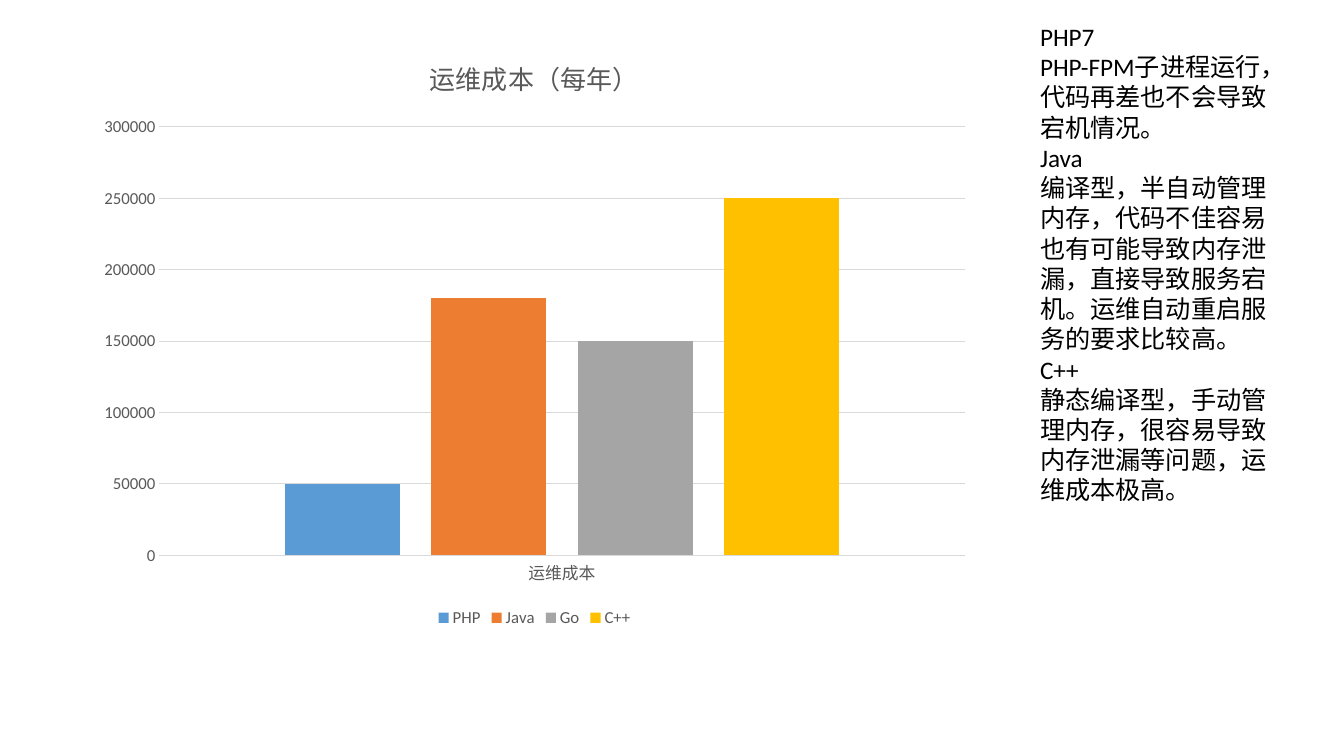
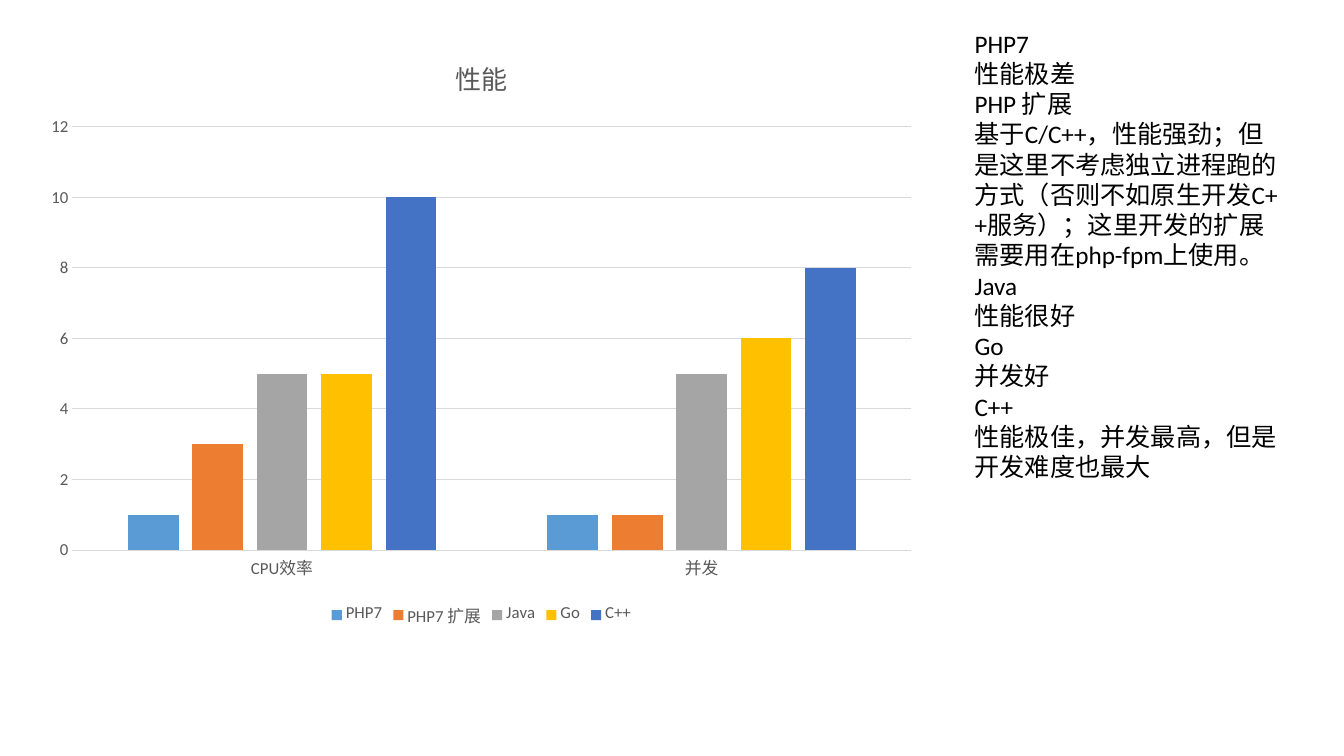
import pptx
import pptx.util
import pptx.dml.color
import pptx.chart.data
import pptx.enum.chart
import pptx.enum.text

Cm = pptx.util.Cm
Pt = pptx.util.Pt
RGBColor = pptx.dml.color.RGBColor

FONT = "Calibri"
BLACK = RGBColor(0x00, 0x00, 0x00)
GREY = RGBColor(0x59, 0x59, 0x59)
RULE = RGBColor(0xD9, 0xD9, 0xD9)
BARS = [
    RGBColor(0x5B, 0x9B, 0xD5),
    RGBColor(0xED, 0x7D, 0x31),
    RGBColor(0xA5, 0xA5, 0xA5),
    RGBColor(0xFF, 0xC0, 0x00),
    RGBColor(0x44, 0x72, 0xC4),
]

COST = {"PHP": [50000], "Java": [180000], "Go": [150000], "C++": [250000]}
COST_NOTES = [
    "PHP7",
    "PHP-FPM子进程运行，代码再差也不会导致宕机情况。",
    "Java",
    "编译型，半自动管理内存，代码不佳容易也有可能导致内存泄漏，"
    "直接导致服务宕机。运维自动重启服务的要求比较高。",
    "C++",
    "静态编译型，手动管理内存，很容易导致内存泄漏等问题，运维成本极高。",
]

SPEED = {
    "PHP7": [1, 1],
    "PHP7 扩展": [3, 1],
    "Java": [5, 5],
    "Go": [5, 6],
    "C++": [10, 8],
}
SPEED_NOTES = [
    "PHP7",
    "性能极差",
    "PHP 扩展",
    "基于C/C++，性能强劲；但是这里不考虑独立进程跑的方式"
    "（否则不如原生开发C++服务）；这里开发的扩展需要用在php-fpm上使用。",
    "Java",
    "性能很好",
    "Go",
    "并发好",
    "C++",
    "性能极佳，并发最高，但是开发难度也最大",
]


def style(font, size, color):
    font.name = FONT
    font.size = Pt(size)
    font.color.rgb = color


def rule(line):
    line.color.rgb = RULE
    line.width = Pt(0.75)


def add_notes(slide, left, top, width, height, lines):
    box = slide.shapes.add_textbox(Cm(left), Cm(top), Cm(width), Cm(height))
    frame = box.text_frame
    frame.word_wrap = True
    frame.auto_size = pptx.enum.text.MSO_AUTO_SIZE.SHAPE_TO_FIT_TEXT
    frame.text = "\n".join(lines)
    for para in frame.paragraphs:
        for run in para.runs:
            style(run.font, 18, BLACK)


def add_bars(slide, left, title, groups, series):
    data = pptx.chart.data.CategoryChartData()
    data.categories = groups
    for name, values in series.items():
        data.add_series(name, values)
    chart = slide.shapes.add_chart(
        pptx.enum.chart.XL_CHART_TYPE.COLUMN_CLUSTERED,
        Cm(left), Cm(0.86), Cm(22.58), Cm(15.06), data).chart
    style(chart.font, 10, BLACK)

    # Title and legend
    frame = chart.chart_title.text_frame
    frame.text = title
    font = frame.paragraphs[0].runs[0].font
    style(font, 18.6, GREY)
    font.bold = False
    chart.has_legend = True
    chart.legend.position = pptx.enum.chart.XL_LEGEND_POSITION.BOTTOM
    chart.legend.include_in_layout = False
    style(chart.legend.font, 12, GREY)

    # Axes
    for axis in (chart.category_axis, chart.value_axis):
        axis.major_tick_mark = pptx.enum.chart.XL_TICK_MARK.NONE
        axis.minor_tick_mark = pptx.enum.chart.XL_TICK_MARK.NONE
        style(axis.tick_labels.font, 12, GREY)
    rule(chart.category_axis.format.line)
    chart.value_axis.format.line.fill.background()
    rule(chart.value_axis.major_gridlines.format.line)

    # Columns
    plot = chart.plots[0]
    plot.vary_by_categories = False
    plot.gap_width = 219
    plot.overlap = -27
    for bar, color in zip(plot.series, BARS):
        bar.format.fill.solid()
        bar.format.fill.fore_color.rgb = color


def main():
    deck = pptx.Presentation()
    deck.slide_width = Cm(33.87)
    deck.slide_height = Cm(19.05)
    blank = deck.slide_layouts[6]

    # Running cost
    slide = deck.slides.add_slide(blank)
    add_notes(slide, 25.96, 0.41, 6.71, 14.88, COST_NOTES)
    add_bars(slide, 2.18, "运维成本（每年）", ["运维成本"], COST)

    # Performance
    slide = deck.slides.add_slide(blank)
    add_notes(slide, 24.31, 0.58, 8.38, 12.57, SPEED_NOTES)
    add_bars(slide, 0.84, "性能", ["CPU效率", "并发"], SPEED)

    deck.save("out.pptx")


main()
